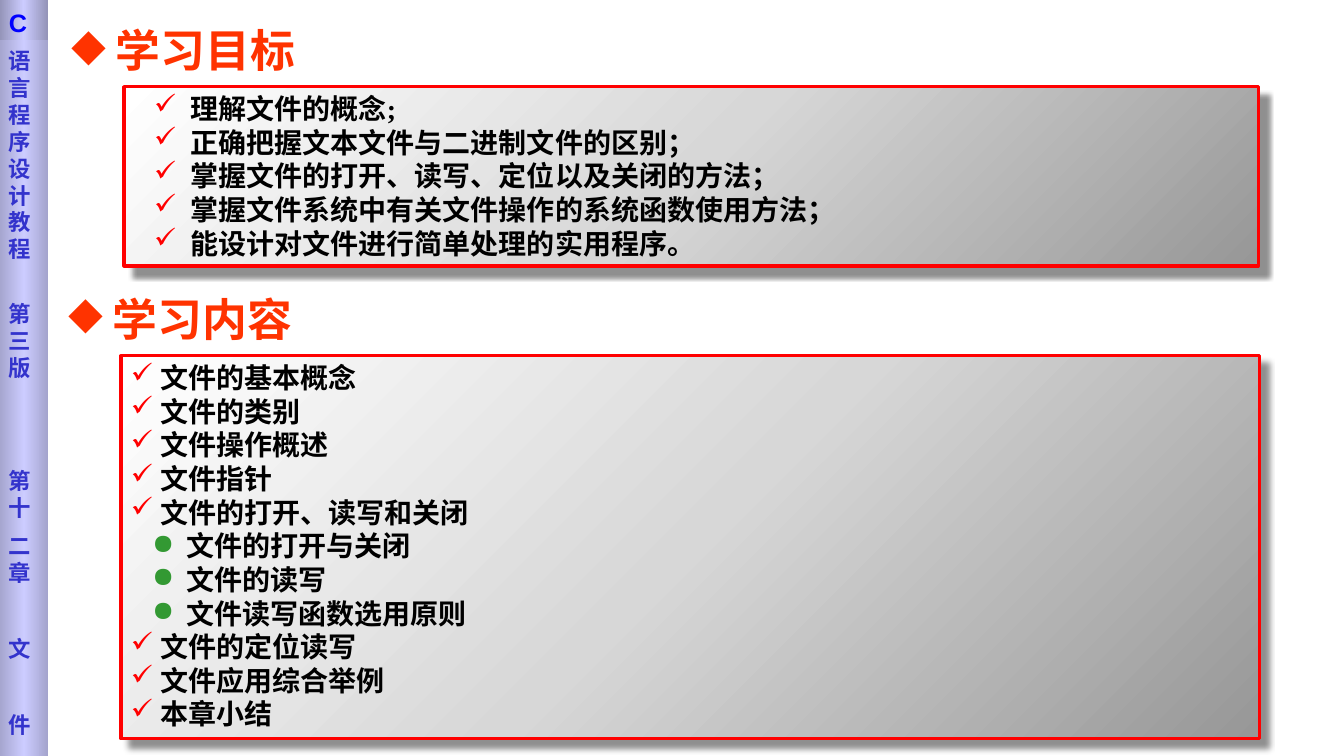
from pptx import Presentation
from pptx.dml.color import RGBColor
from pptx.enum.lang import MSO_LANGUAGE_ID
from pptx.enum.shapes import MSO_SHAPE
from pptx.enum.text import MSO_ANCHOR, PP_ALIGN
from pptx.oxml import parse_xml
from pptx.oxml.ns import nsdecls
from pptx.util import Inches, Pt

COLORS = {
    "heading": "FF3300", "ink": "000000", "frame": "FF0000",
    "check": "FF0000", "dot": "339933", "spine": "3333CC", "letter": "0000FF",
}
PANEL_SHADES = ("979797", "D7D7D7", "FFFFFF")
SPINE_SHADES = ("A4A4CD", "CCCCFF", "A4A4CD")
CAP_SHADES = ("9292B6", "CCCCFF", "9292B6")

GOALS = [
    "理解文件的概念;",
    "正确把握文本文件与二进制文件的区别；",
    "掌握文件的打开、读写、定位以及关闭的方法；",
    "掌握文件系统中有关文件操作的系统函数使用方法；",
    "能设计对文件进行简单处理的实用程序。",
]
# Each topic has its outline level.
TOPICS = [
    ("文件的基本概念", 0), ("文件的类别", 0), ("文件操作概述", 0),
    ("文件指针", 0), ("文件的打开、读写和关闭", 0),
    ("文件的打开与关闭", 1), ("文件的读写", 1), ("文件读写函数选用原则", 1),
    ("文件的定位读写", 0), ("文件应用综合举例", 0), ("本章小结", 0),
]
# Each part of the spine has the space before it in points.
SPINE_PARTS = [("语言程序设计教程", 0), ("第三版", 27), ("第十", 62),
               ("二章", 8), ("文", 35), ("件", 35)]


def write(frame, text, size=20, font="Times New Roman", color="ink",
          before=0, level=0, bullet=None, bullet_color=None, margin=0, hang=0):
    """Add one paragraph to the frame, using its empty first one if there is one."""
    first = frame.paragraphs[0]
    para = frame.add_paragraph() if first.runs else first
    properties = para._p.get_or_add_pPr()
    if bullet:
        properties.set("marL", str(Inches(margin)))
        properties.set("indent", str(-Inches(hang)))
        properties.append(parse_xml(
            f'<a:buClr {nsdecls("a")}><a:srgbClr val="{COLORS[bullet_color]}"/></a:buClr>'))
        properties.append(parse_xml(f'<a:buChar {nsdecls("a")} char="{bullet}"/>'))
    para.alignment = PP_ALIGN.LEFT
    para.level = level
    para.line_spacing = Pt(size * 1.2)
    if before:
        para.space_before = Pt(before)
    span = para.add_run()
    span.text = text
    span.font.name = font
    span.font.size = Pt(size)
    span.font.bold = True
    span.font.language_id = MSO_LANGUAGE_ID.SIMPLIFIED_CHINESE
    span.font.color.rgb = RGBColor.from_string(COLORS[color])


class ChapterSlide:
    def __init__(self, deck):
        self.page = deck.slides.add_slide(deck.slide_layouts[6])
        self.shapes = self.page.shapes

    def heading(self, text, left, top, width):
        box = self.shapes.add_textbox(
            Inches(left), Inches(top), Inches(width), Inches(0.63))
        box.text_frame.word_wrap = True
        write(box.text_frame, text, size=32, font="Arial", color="heading",
              bullet="◆", bullet_color="heading", margin=0.44, hang=0.44)

    def shaded_box(self, shapes, place, shades, angle, top_inset=0.05):
        """Add a rectangle with a three-stop gradient and no line."""
        box = shapes.add_shape(MSO_SHAPE.RECTANGLE, *map(Inches, place))
        stops = "".join(
            f'<a:gs pos="{index * 50000}"><a:srgbClr val="{shade}"/></a:gs>'
            for index, shade in enumerate(shades))
        box._element.spPr.insert(2, parse_xml(
            f'<a:gradFill {nsdecls("a")} rotWithShape="1"><a:gsLst>{stops}</a:gsLst>'
            f'<a:lin ang="{angle * 60000}" scaled="0"/></a:gradFill>'))
        box.line.fill.background()
        box.shadow.inherit = False
        frame = box.text_frame
        frame.word_wrap = True
        frame.vertical_anchor = MSO_ANCHOR.TOP
        frame.margin_top = Inches(top_inset)
        return box

    def panel(self, place):
        """Add a framed grey box with a shadow and return its text frame."""
        box = self.shaded_box(self.shapes, place, PANEL_SHADES, 225)
        box.line.color.rgb = RGBColor.from_string(COLORS["frame"])
        box.line.width = Pt(2.25)
        effects = box._element.spPr.find(
            "{http://schemas.openxmlformats.org/drawingml/2006/main}effectLst")
        effects.append(parse_xml(
            f'<a:outerShdw {nsdecls("a")} blurRad="{Pt(4)}" dist="{Pt(8.4)}" '
            'dir="2700000" algn="ctr" rotWithShape="0">'
            '<a:srgbClr val="000000"><a:alpha val="43000"/></a:srgbClr></a:outerShdw>'))
        return box.text_frame

    def spine(self):
        """Add the book title strip on the left edge."""
        group = self.shapes.add_group_shape()
        strip = self.shaded_box(group.shapes, (-0.01, 0, 0.49, 7.5),
                                SPINE_SHADES, 0, top_inset=0.47)
        for text, before in SPINE_PARTS:
            write(strip.text_frame, text, size=16, font="DejaVu Sans",
                  color="spine", before=before)
        cap = self.shaded_box(group.shapes, (-0.01, 0, 0.49, 0.4),
                              CAP_SHADES, 0, top_inset=0.07)
        write(cap.text_frame, "C", size=18, font="Arial", color="letter")


def main():
    deck = Presentation()
    deck.slide_width, deck.slide_height = Inches(13.33), Inches(7.5)
    slide = ChapterSlide(deck)
    slide.heading("学习目标", 0.61, 0.18, 4.25)
    slide.heading("学习内容", 0.58, 2.84, 2.76)

    check = {"bullet": "✓", "bullet_color": "check"}
    topic_styles = [
        {**check, "margin": 0.29, "hang": 0.29},
        {"bullet": "●", "bullet_color": "dot", "margin": 0.55, "hang": 0.34},
    ]
    contents = slide.panel((1.2, 3.53, 11.29, 3.8))
    for topic, level in TOPICS:
        write(contents, topic, level=level, **topic_styles[level])
    goals = slide.panel((1.23, 0.86, 11.25, 1.78))
    for goal in GOALS:
        write(goals, goal, margin=0.56, hang=0.36, **check)

    slide.spine()
    deck.save("out.pptx")


if __name__ == "__main__":
    main()
